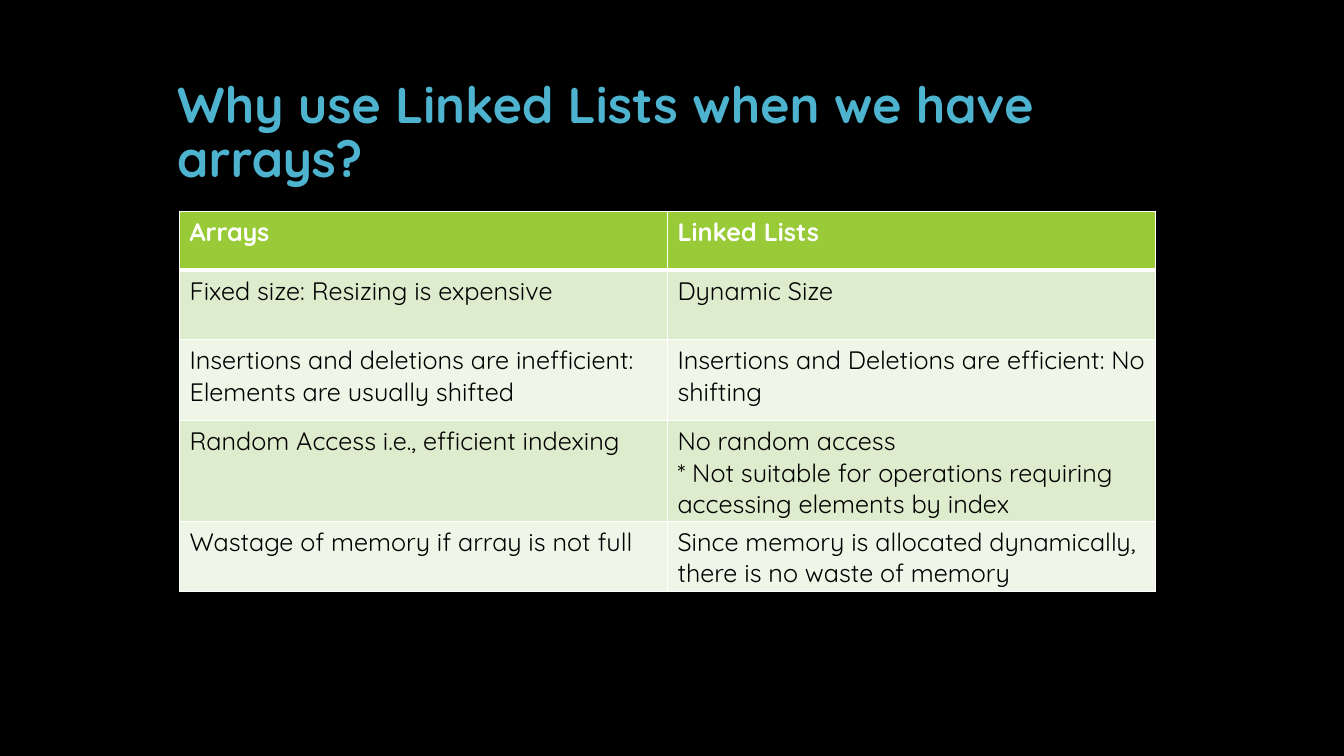
from dataclasses import dataclass

from lxml.etree import SubElement
from pptx import Presentation
from pptx.dml.color import RGBColor
from pptx.enum.text import MSO_ANCHOR
from pptx.oxml.ns import qn
from pptx.util import Inches, Pt


@dataclass(frozen=True)
class Theme:
    """Colours, font and type sizes of the slide."""
    font: str = "Quicksand"
    background: str = "000000"
    title: str = "4EB3CF"
    header: str = "99CB38"
    bands: tuple = ("DEECCE", "EFF6E8")
    light: str = "FFFFFF"
    dark: str = "000000"
    title_size: int = 36
    table_size: int = 18
    thin: int = 1
    thick: int = 3


THEME = Theme()
TITLE = "Why use Linked Lists when we have arrays?"
COLUMN_WIDTH = 4.84
ROW_HEIGHTS = (0.58, 0.69, 0.8, 0.58, 0.58)
COMPARISON = (
    (["Arrays"], ["Linked Lists"]),
    (["Fixed size: Resizing is expensive"], ["Dynamic Size"]),
    (["Insertions and deletions are inefficient: Elements are usually shifted"],
     ["Insertions and Deletions are efficient: No shifting"]),
    (["Random Access i.e., efficient indexing"],
     ["No random access",
      "* Not suitable for operations requiring accessing elements by index"]),
    (["Wastage of memory if array is not full"],
     ["Since memory is allocated dynamically, there is no waste of memory"]),
)


def add_span(para, text, size, color, bold=False):
    """Add one styled run to a paragraph."""
    span = para.add_run()
    span.text = text
    span.font.name = THEME.font
    span.font.size = Pt(size)
    span.font.bold = bold
    span.font.color.rgb = RGBColor.from_string(color)


def add_title(page, text):
    """Add the slide title, resting on the bottom of its box."""
    box = page.shapes.add_textbox(Inches(1.66), Inches(0.42), Inches(10), Inches(1.5))
    frame = box.text_frame
    frame.word_wrap = True
    frame.vertical_anchor = MSO_ANCHOR.BOTTOM
    para = frame.paragraphs[0]
    para.line_spacing = 0.9
    add_span(para, text, THEME.title_size, THEME.title, bold=True)


def set_borders(cell, top, bottom):
    """Draw the four cell borders, given the top and bottom widths."""
    properties = cell._tc.get_or_add_tcPr()
    widths = {"lnL": THEME.thin, "lnR": THEME.thin, "lnT": top, "lnB": bottom}
    for side, width in widths.items():
        line = SubElement(properties, qn(f"a:{side}"), w=str(Pt(width)))
        fill = SubElement(line, qn("a:solidFill"))
        SubElement(fill, qn("a:srgbClr"), val=THEME.light)


def fill_cell(cell, lines, row_index):
    """Style one cell by its row and write its paragraphs."""
    is_header = row_index == 0
    set_borders(cell,
                top=THEME.thick if row_index == 1 else THEME.thin,
                bottom=THEME.thick if is_header else THEME.thin)
    band = THEME.header if is_header else THEME.bands[(row_index - 1) % 2]
    cell.fill.solid()
    cell.fill.fore_color.rgb = RGBColor.from_string(band)
    frame = cell.text_frame
    for index, text in enumerate(lines):
        para = frame.add_paragraph() if index else frame.paragraphs[0]
        add_span(para, text, THEME.table_size,
                 THEME.light if is_header else THEME.dark, bold=is_header)


def add_comparison(page, rows):
    """Add the table that compares arrays with linked lists."""
    columns = len(rows[0])
    table = page.shapes.add_table(
        len(rows), columns, Inches(1.78), Inches(2.1),
        Inches(COLUMN_WIDTH * columns), Inches(sum(ROW_HEIGHTS))).table
    for column in table.columns:
        column.width = Inches(COLUMN_WIDTH)
    for row_index, (row, height) in enumerate(zip(table.rows, ROW_HEIGHTS)):
        row.height = Inches(height)
        for cell, lines in zip(row.cells, rows[row_index]):
            fill_cell(cell, lines, row_index)


def main():
    """Build the slide and save the deck."""
    deck = Presentation()
    deck.slide_width, deck.slide_height = Inches(13.33), Inches(7.5)
    page = deck.slides.add_slide(deck.slide_layouts[6])
    page.background.fill.solid()
    page.background.fill.fore_color.rgb = RGBColor.from_string(THEME.background)
    add_title(page, TITLE)
    add_comparison(page, COMPARISON)
    deck.save("out.pptx")


main()
